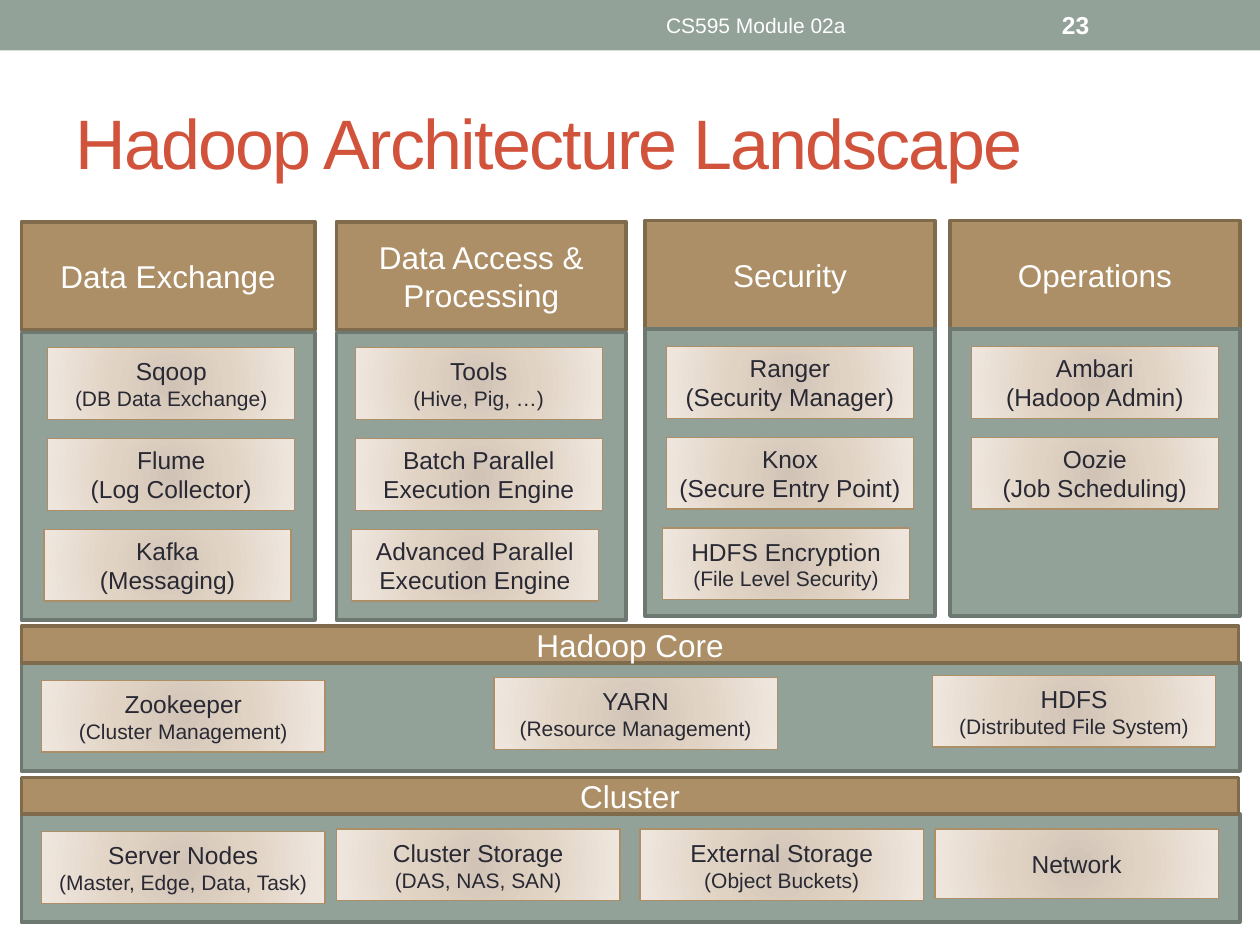
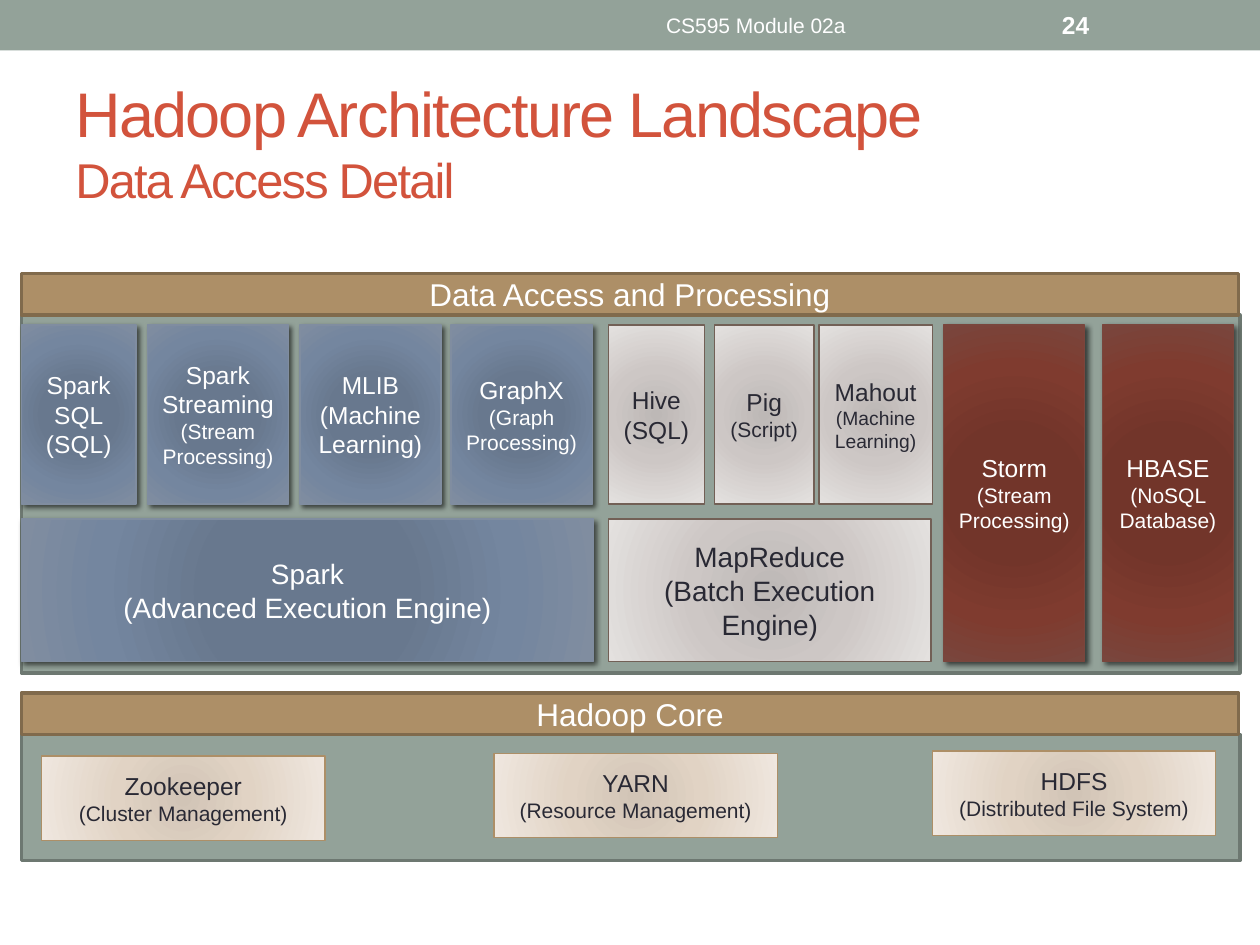
from lxml import etree
from pptx import Presentation
from pptx.dml.color import RGBColor
from pptx.enum.shapes import MSO_SHAPE
from pptx.enum.text import MSO_ANCHOR, PP_ALIGN
from pptx.oxml import parse_xml
from pptx.oxml.ns import nsdecls, qn
from pptx.util import Inches, Pt

RECTANGLE = MSO_SHAPE.RECTANGLE
MIDDLE = MSO_ANCHOR.MIDDLE
LEFT, CENTER = PP_ALIGN.LEFT, PP_ALIGN.CENTER

FONT = "Arial"
COLORS = {
    "white": "FFFFFF",
    "ink": "292934",
    "title": "D2533C",
    "panel": "93A299",
    "panel_line": "6D7871",
    "band": "AD8F67",
    "band_line": "806A4C",
    "gray_line": "726056",
    "blue_line": "808DA0",
    "red_line": "79463D",
    "shadow": "000000",
}
CARD_STYLES = {
    "sand": ([(0, "D1C4B6"), (45, "E1D3C4"), (100, "EFE7DF")], "band", "ink", False),
    "gray": ([(0, "BDB8B6"), (45, "CDC7C5"), (100, "E4E1DF")], "gray_line", "ink", False),
    "blue": ([(0, "677790"), (34, "68788E"), (70, "74869F"), (100, "808DA0")],
             "blue_line", "white", True),
    "red": ([(0, "743327"), (34, "72352A"), (70, "7F3B2F"), (100, "79463D")],
            "red_line", "white", True),
}

COLUMNS = [
    ("Data Exchange", 0.17, 1.76, 2.33, 2.64, 0.38,
     [("Sqoop\n(DB Data Exchange)", 12), ("Flume\n(Log Collector)", 14),
      ("Kafka\n(Messaging)", 14)]),
    ("Data Access & Processing", 2.67, 1.76, 2.3, 2.64, 2.82,
     [("Tools\n(Hive, Pig, …)", 12), ("Batch Parallel Execution Engine", 14),
      ("Advanced Parallel Execution Engine", 14)]),
    ("Security", 5.12, 1.75, 2.3, 2.61, 5.29,
     [("Ranger\n(Security Manager)", 14), ("Knox\n(Secure Entry Point)", 14),
      ("HDFS Encryption\n(File Level Security)", 12)]),
    ("Operations", 7.54, 1.75, 2.3, 2.61, 7.71,
     [("Ambari\n(Hadoop Admin)", 14), ("Oozie\n(Job Scheduling)", 14)]),
]
CORE_CARDS = [
    (0.33, "Zookeeper\n(Cluster Management)"),
    (3.92, "YARN\n(Resource Management)"),
    (7.4, "HDFS\n(Distributed File System)"),
]
CLUSTER_CARDS = [
    (0.33, 6.6, 0.57, "Server Nodes\n(Master, Edge, Data, Task)"),
    (2.67, 6.58, 0.57, "Cluster Storage\n(DAS, NAS, SAN)"),
    (5.08, 6.58, 0.57, "External Storage\n(Object Buckets)"),
    (7.42, 6.58, 0.55, "Network"),
]
TOOL_CARDS = [
    ("blue", 0.17, 0.91, "Spark\nSQL\n(SQL)", 14),
    ("blue", 1.17, 1.12, "Spark Streaming\n(Stream Processing)", 12),
    ("blue", 2.38, 1.12, "MLIB\n(Machine Learning)", 14),
    ("blue", 3.58, 1.12, "GraphX\n(Graph Processing)", 12),
    ("gray", 4.83, 0.76, "Hive\n(SQL)", 14),
    ("gray", 5.67, 0.79, "Pig\n(Script)", 12),
    ("gray", 6.5, 0.9, "Mahout\n(Machine Learning)", 11),
]
ENGINE_CARDS = [
    ("blue", 0.17, 4.54, "Spark\n(Advanced Execution Engine)"),
    ("gray", 4.83, 2.56, "MapReduce\n(Batch Execution Engine)"),
]
TALL_CARDS = [
    ("red", 7.49, 1.12, "Storm\n(Stream Processing)"),
    ("red", 8.75, 1.04, "HBASE\n(NoSQL Database)"),
]


def color(name):
    """Return the named colour."""
    return RGBColor.from_string(COLORS[name])


class Deck:
    """Holds the style and the current slide, and draws each kind of element."""

    def __init__(self):
        """Start an empty presentation of 10 by 7.5 inches."""
        self.presentation = Presentation()
        self.presentation.slide_width = Inches(10)
        self.presentation.slide_height = Inches(7.5)
        self.slide = None

    def start_slide(self, number, title_lines):
        """Add a slide with its top strip, title, footer and number."""
        layout = self.presentation.slide_layouts[6]
        self.slide = self.presentation.slides.add_slide(layout)
        self.box(0, 0, 10, 0.4, "panel")
        self.title(title_lines)
        self.label(3.75, 4.5, "CS595 Module 02a", 12, CENTER)
        self.label(8.33, 1.17, str(number), 14, LEFT, bold=True)

    def box(self, left, top, width, height, fill=None, line=None, weight=2.08):
        """Draw a rectangle without a shadow."""
        shape = self.slide.shapes.add_shape(
            RECTANGLE, Inches(left), Inches(top), Inches(width), Inches(height))
        shape.shadow.inherit = False
        if fill:
            shape.fill.solid()
            shape.fill.fore_color.rgb = color(fill)
        if line:
            shape.line.color.rgb = color(line)
            shape.line.width = Pt(weight)
        else:
            shape.line.fill.background()
        return shape

    def text_box(self, left, top, width, height):
        """Add a wrapping text box and return its frame."""
        shape = self.slide.shapes.add_textbox(
            Inches(left), Inches(top), Inches(width), Inches(height))
        shape.text_frame.word_wrap = True
        shape.text_frame.vertical_anchor = MIDDLE
        return shape.text_frame

    def style(self, paragraph, size, color_name, align=CENTER, bold=False):
        """Set the alignment and font of a paragraph."""
        paragraph.alignment = align
        paragraph.font.name = FONT
        paragraph.font.size = Pt(size)
        paragraph.font.color.rgb = color(color_name)
        paragraph.font.bold = bold

    def fill_text(self, frame, text, sizes, color_name):
        """Set one centred paragraph per line, the first in its own size."""
        frame.word_wrap = True
        frame.vertical_anchor = MIDDLE
        frame.text = text
        for index, paragraph in enumerate(frame.paragraphs):
            self.style(paragraph, sizes[min(index, 1)], color_name)

    def title(self, lines):
        """Add the slide title, each line in its own size."""
        paragraph = self.text_box(0.5, 0.58, 9, 1.08).paragraphs[0]
        self.style(paragraph, lines[0][1], "title", LEFT)
        for index, (text, size) in enumerate(lines):
            if index:
                paragraph.add_line_break()
            run = paragraph.add_run()
            run.text = text
            run.font.size = Pt(size)
            run._r.get_or_add_rPr().set("spc", "-100")

    def label(self, left, width, text, size, align, bold=False):
        """Add white text on the top strip."""
        paragraph = self.text_box(left, 0.02, width, 0.36).paragraphs[0]
        paragraph.text = text
        self.style(paragraph, size, "white", align, bold)

    def panel(self, left, top, width, height):
        """Draw a green panel that holds cards."""
        self.box(left, top, width, height, "panel", "panel_line")

    def band(self, left, top, width, height, text):
        """Draw a brown heading band."""
        shape = self.box(left, top, width, height, "band", "band_line")
        self.fill_text(shape.text_frame, text, (18, 18), "white")

    def section(self, text, top, band_height, panel_height):
        """Draw a full-width panel with its heading band on top."""
        self.panel(0.17, top + band_height, 9.67, panel_height)
        self.band(0.17, top, 9.66, band_height, text)

    def card(self, style, left, top, width, height, text, sizes):
        """Draw a card with a radial gradient and, where styled, a shadow."""
        stops, line, ink, has_shadow = CARD_STYLES[style]
        shape = self.box(left, top, width, height, None, line, 0.75)
        properties = shape.element.spPr
        stop_xml = "".join(
            f'<a:gs pos="{position * 1000}"><a:srgbClr val="{value}"/></a:gs>'
            for position, value in stops)
        properties.find(qn("a:prstGeom")).addnext(parse_xml(
            f'<a:gradFill {nsdecls("a")} rotWithShape="1"><a:gsLst>{stop_xml}</a:gsLst>'
            '<a:path path="circle"><a:fillToRect l="100000" t="100000" r="100000" '
            'b="100000"/></a:path></a:gradFill>'))
        if has_shadow:
            effects = properties.find(qn("a:effectLst"))
            shadow = etree.SubElement(
                effects, qn("a:outerShdw"), blurRad=str(Pt(3)), dist=str(Pt(2)),
                dir="2700000", algn="tl", rotWithShape="0")
            tint = etree.SubElement(shadow, qn("a:srgbClr"), val=COLORS["shadow"])
            etree.SubElement(tint, qn("a:alpha"), val="60000")
        self.fill_text(shape.text_frame, text, sizes, ink)

    def core(self, top, band_height, panel_height, card_top, card_height):
        """Draw the Hadoop Core section."""
        self.section("Hadoop Core", top, band_height, panel_height)
        for index, (left, text) in enumerate(CORE_CARDS):
            self.card("sand", left, card_top - 0.02 * index, 2.25, card_height,
                      text, (14, 12))


def build_landscape(deck):
    """Build the overview of the whole architecture."""
    deck.start_slide(23, [("Hadoop Architecture Landscape", 40)])
    for heading, left, top, width, panel_top, card_left, cards in COLUMNS:
        deck.band(left, top, width, 0.86, heading)
        deck.panel(left, panel_top, width, 2.28)
        for index, (text, note_size) in enumerate(cards):
            shift = 0.03 if index == 2 else 0
            deck.card("sand", card_left - shift, top + 1 + 0.72 * index, 1.96, 0.57,
                      text, (14, note_size))
    deck.core(4.97, 0.29, 0.86, 5.4, 0.57)
    deck.section("Cluster", 6.17, 0.29, 0.86)
    for left, top, height, text in CLUSTER_CARDS:
        deck.card("sand", left, top, 2.25, height, text, (14, 12))


def build_data_access(deck):
    """Build the detail of the data access layer."""
    deck.start_slide(24, [("Hadoop Architecture Landscape", 36),
                          ("Data Access Detail", 27.9)])
    deck.section("Data Access and Processing", 2.17, 0.33, 2.84)
    for style, left, width, text in ENGINE_CARDS:
        deck.card(style, left, 4.12, width, 1.13, text, (16, 16))
    for style, left, width, text, note_size in TOOL_CARDS:
        deck.card(style, left, 2.58, width, 1.42, text, (14, note_size))
    for style, left, width, text in TALL_CARDS:
        deck.card(style, left, 2.58, width, 2.67, text, (14, 12))
    deck.core(5.5, 0.33, 1, 6, 0.67)


def main():
    """Build both slides and save them."""
    deck = Deck()
    build_landscape(deck)
    build_data_access(deck)
    deck.presentation.save("out.pptx")


if __name__ == "__main__":
    main()
